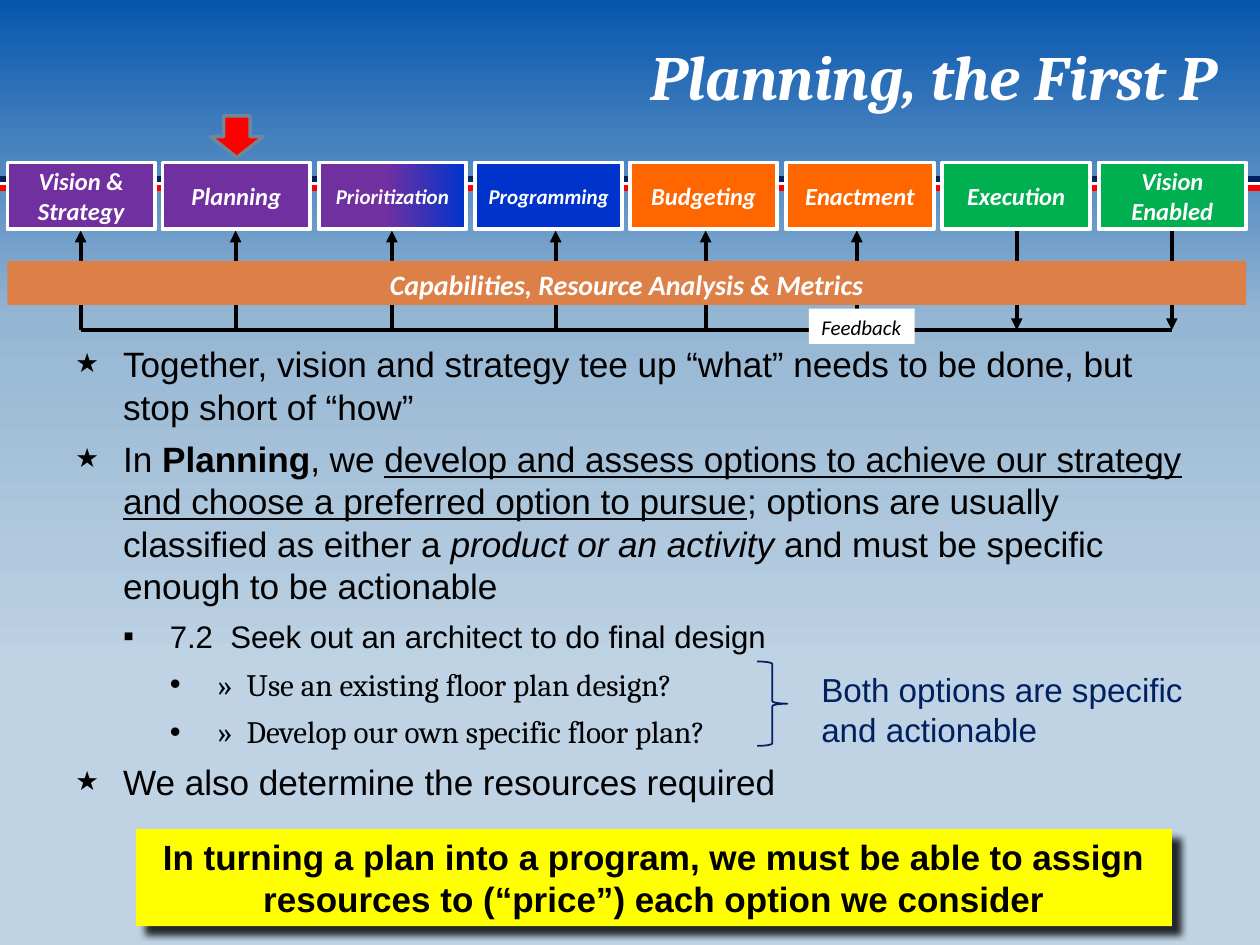
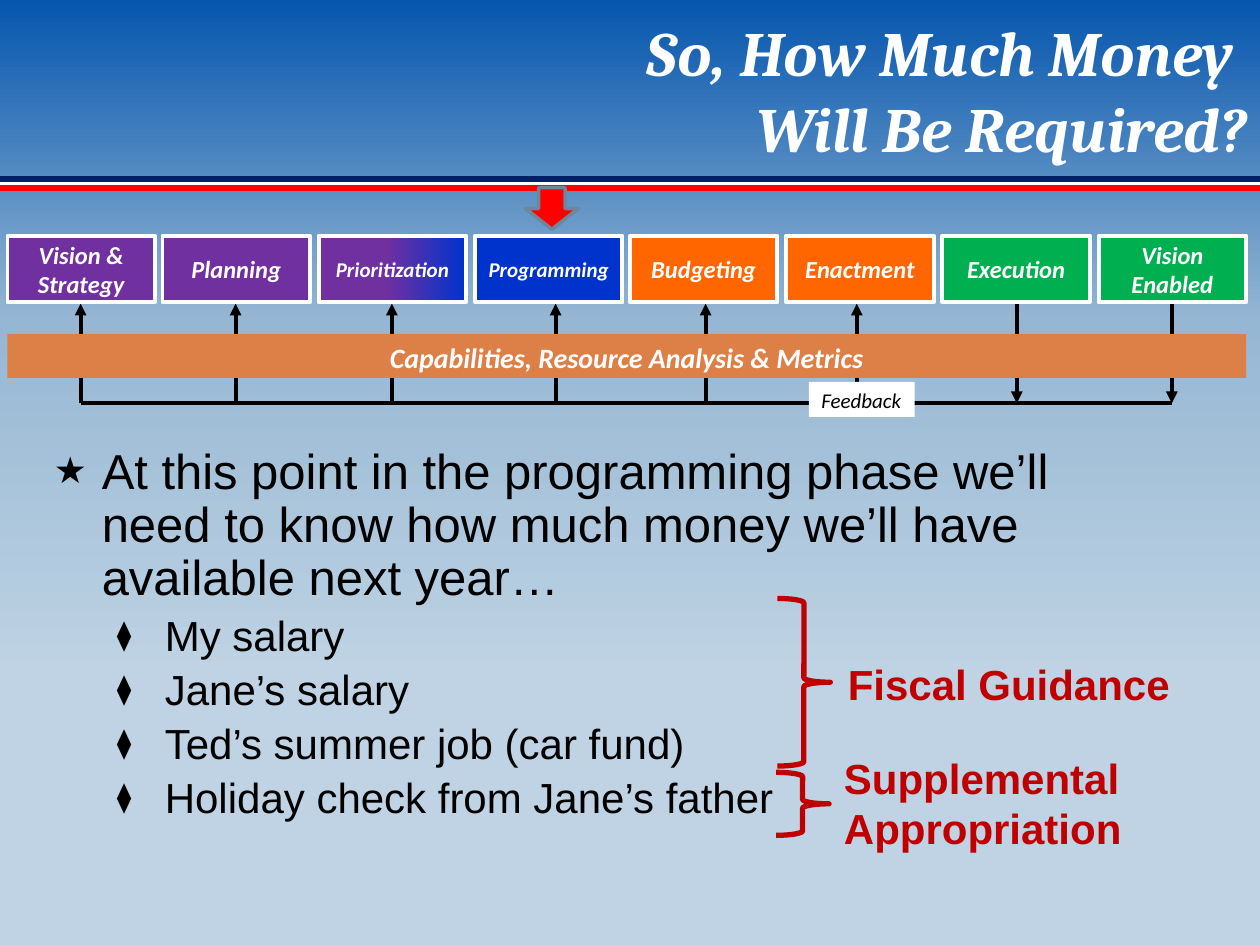
from lxml import etree
from pptx import Presentation
from pptx.dml.color import RGBColor
from pptx.enum.shapes import MSO_CONNECTOR, MSO_SHAPE
from pptx.enum.text import MSO_ANCHOR, PP_ALIGN
from pptx.oxml.ns import qn
from pptx.util import Pt

PX = 9144
RECT, DOWN_ARROW, BRACE = MSO_SHAPE.RECTANGLE, MSO_SHAPE.DOWN_ARROW, MSO_SHAPE.RIGHT_BRACE
STRAIGHT = MSO_CONNECTOR.STRAIGHT
LEFT, CENTER, RIGHT = PP_ALIGN.LEFT, PP_ALIGN.CENTER, PP_ALIGN.RIGHT
TOP, MIDDLE = MSO_ANCHOR.TOP, MSO_ANCHOR.MIDDLE

BLACK, WHITE, NAVY, RED = "000000", "FFFFFF", "002060", "FF0000"
PURPLE, BLUE, ORANGE, GREEN = "7030A0", "0033CC", "FF6600", "00B050"
TAN, YELLOW, CRIMSON, STEEL = "DD8047", "FFFF00", "C00000", "6D879B"
GRADIENT = "gradient"

BACKGROUND_STOPS = [(0, "0656AE"), (34, "96B7D3"), (72, "BFD3E4"), (100, "BFD3E4")]
BLEND_STOPS = [(0, PURPLE), (46, PURPLE), (99, BLUE), (100, BLUE)]
STRIPES = [(142, NAVY, 3.5), (146, WHITE, 2.5), (149, RED, 3.5)]
STAGES = [
    ("Vision &\nStrategy", PURPLE, 14),
    ("Planning", PURPLE, 14),
    ("Prioritization", GRADIENT, 12),
    ("Programming", BLUE, 12),
    ("Budgeting", ORANGE, 14),
    ("Enactment", ORANGE, 14),
    ("Execution", GREEN, 14),
    ("Vision Enabled", GREEN, 14),
]
UP_ARROWS = [64, 187, 311, 441, 560, 680]
DOWN_ARROWS = [807, 930]
NO_WRAP = ["Feedback", "Fiscal Guidance"]

TITLE = dict(size=36, font="Cambria", color=WHITE, bold=True, italic=True, align=RIGHT)
LABEL = dict(font="Calibri", color=WHITE, bold=True, italic=True, align=CENTER)
FEEDBACK = dict(size=12, font="Calibri", italic=True)
OPTIONS = dict(size=19, color=NAVY)
FUNDING = dict(size=24, color=CRIMSON, bold=True)
CALLOUT = dict(size=20, bold=True, align=CENTER)

POINT = dict(size=20.1, bullet=("★", 75, 38, 38), after=6)
STEP = dict(size=17.8, bullet=("▪", 100, 75, 37), after=6)
CHOICE = dict(size=17.8, font="Cambria", bullet=("•", 100, 113, 38), after=6)
QUESTION = dict(size=28, bullet=("★", 75, 38, 38), spacing=0.9)
INCOME = dict(size=24, bullet=("⧫", 70, 88, 38), spacing=0.9, before=5)

PLANNING_RUNS = [
    ("In ", {}),
    ("Planning", dict(bold=True)),
    (", we ", {}),
    ("develop and assess options to achieve our strategy and choose a preferred option to pursue",
     dict(underline=True)),
    ("; options are usually classified as either a ", {}),
    ("product or an activity ", dict(italic=True)),
    ("and must be specific enough to be actionable", {}),
]

SLIDES = [
    dict(
        title="Planning, the First P",
        title_at=(75, 25, 900, 125),
        body_at=(50, 267, 900, 392),
        body=[
            ("Together, vision and strategy tee up “what” needs to be done, but stop short of “how”", POINT),
            (PLANNING_RUNS, POINT),
            ("7.2  Seek out an architect to do final design", STEP),
            ("»  Use an existing floor plan design?", CHOICE),
            ("»  Develop our own specific floor plan?", CHOICE),
            ("We also determine the resources required", POINT),
        ],
        flow_top=129,
        marker=(167, 92),
        braces=[((601, 525, 24, 67), NAVY, 1)],
        notes=[("Both options are specific and actionable", (642, 526, 338, 74), OPTIONS)],
        callout="In turning a plan into a program, we must be able to assign "
                "resources to (“price”) each option we consider",
    ),
    dict(
        title="So, How Much Money \nWill Be Required?",
        title_at=(75, 6, 925, 125),
        body_at=(33, 350, 900, 372),
        body=[
            ("At this point in the programming phase we’ll need to know how much money "
             "we’ll have available next year…", QUESTION),
            ("My salary", INCOME),
            ("Jane’s salary", INCOME),
            ("Ted’s summer job (car fund)", INCOME),
            ("Holiday check from Jane’s father", INCOME),
        ],
        flow_top=187,
        marker=(417, 149),
        braces=[((617, 475, 42, 133), CRIMSON, 3), ((616, 613, 42, 50), CRIMSON, 3)],
        notes=[
            ("Fiscal Guidance", (663, 518, 278, 50), FUNDING),
            ("Supplemental Appropriation", (660, 592, 257, 91), FUNDING),
        ],
        callout=None,
    ),
]


def rgb(value):
    return RGBColor.from_string(value)


def write(tf, text, size, font="Arial", color=BLACK, bold=False, italic=False, align=LEFT,
          bullet=None, spacing=None, before=0, after=0):
    paragraphs = [[(line, {}) for line in [part]] for part in text.split("\n")] if isinstance(text, str) else [text]
    for runs in paragraphs:
        p = tf.add_paragraph() if tf.paragraphs[0].runs else tf.paragraphs[0]
        p.alignment = align
        p.line_spacing = spacing
        p.space_before, p.space_after = Pt(before), Pt(after)
        if bullet:
            char, percent, indent, hanging = bullet
            pPr = p._p.get_or_add_pPr()
            pPr.set("marL", str(indent * PX))
            pPr.set("indent", str(-hanging * PX))
            etree.SubElement(pPr, qn("a:buSzPct"), val=str(percent * 1000))
            etree.SubElement(pPr, qn("a:buFont"), typeface="Arial")
            etree.SubElement(pPr, qn("a:buChar"), char=char)
        for content, style in runs:
            r = p.add_run()
            r.text = content
            r.font.size, r.font.name = Pt(size), font
            r.font.color.rgb = rgb(color)
            r.font.bold = style.get("bold", bold)
            r.font.italic = style.get("italic", italic)
            r.font.underline = style.get("underline", False)


prs = Presentation()
prs.slide_width, prs.slide_height = 1000 * PX, 750 * PX

for page in SLIDES:
    s = prs.slides.add_slide(prs.slide_layouts[6])
    s.background.fill.gradient()
    s.background.fill.gradient_angle = 270
    top = page["flow_top"]
    bus = top + 133

    lines = [(0, y, 1000, y, color, width, False) for y, color, width in STRIPES]
    lines += [(x, bus, x, top + 54, BLACK, 2.25, True) for x in UP_ARROWS]
    lines += [(x, top + 53, x, bus, BLACK, 2.25, True) for x in DOWN_ARROWS]
    lines.append((UP_ARROWS[0], bus, DOWN_ARROWS[-1], bus, BLACK, 2.25, False))
    for x1, y1, x2, y2, color, width, arrow in lines:
        line = s.shapes.add_connector(STRAIGHT, x1 * PX, y1 * PX, x2 * PX, y2 * PX)
        line.line.color.rgb = rgb(color)
        line.line.width = Pt(width)
        if arrow:
            etree.SubElement(line.line._get_or_add_ln(), qn("a:tailEnd"), type="triangle")
        etree.SubElement(line._element.spPr, qn("a:effectLst"))

    shapes = [
        (RECT, (6 + i * 866 // 7, top, 117, 53), fill, WHITE, 2.25, name, dict(LABEL, size=size), MIDDLE)
        for i, (name, fill, size) in enumerate(STAGES)
    ]
    shapes += [
        (RECT, (6, top + 78, 983, 35), TAN, None, 0,
         "Capabilities, Resource Analysis & Metrics", dict(LABEL, size=16), TOP),
        (RECT, (642, top + 116, 84, 28), WHITE, None, 0, "Feedback", FEEDBACK, TOP),
        (DOWN_ARROW, (*page["marker"], 42, 33), RED, STEEL, 2, None, None, TOP),
    ]
    shapes += [(BRACE, at, None, color, width, None, None, TOP) for at, color, width in page["braces"]]
    if page["callout"]:
        shapes.append((RECT, (108, 658, 822, 77), YELLOW, None, 0, page["callout"], CALLOUT, TOP))
    for kind, at, fill, outline, width, text, style, anchor in shapes:
        sp = s.shapes.add_shape(kind, *[n * PX for n in at])
        sp.shadow.inherit = False
        if fill == GRADIENT:
            sp.fill.gradient()
            sp.fill.gradient_angle = 0
        elif fill:
            sp.fill.solid()
            sp.fill.fore_color.rgb = rgb(fill)
        else:
            sp.fill.background()
        if outline:
            sp.line.color.rgb = rgb(outline)
            sp.line.width = Pt(width)
        else:
            sp.line.fill.background()
        if text:
            sp.text_frame.word_wrap = text not in NO_WRAP
            sp.text_frame.vertical_anchor = anchor
            write(sp.text_frame, text, **style)
        if style is CALLOUT:
            effects = sp._element.spPr.find(qn("a:effectLst"))
            shadow = etree.SubElement(effects, qn("a:outerShdw"), blurRad=str(Pt(4)), dist=str(Pt(7)),
                                      dir="2700000", algn="tl", rotWithShape="0")
            tint = etree.SubElement(shadow, qn("a:srgbClr"), val=BLACK)
            etree.SubElement(tint, qn("a:alpha"), val="82000")

    text_boxes = [
        (page["title_at"], [(page["title"], TITLE)]),
        (page["body_at"], page["body"]),
    ]
    text_boxes += [(at, [(text, style)]) for text, at, style in page["notes"]]
    for at, paragraphs in text_boxes:
        tf = s.shapes.add_textbox(*[n * PX for n in at]).text_frame
        tf.word_wrap = paragraphs[0][0] not in NO_WRAP
        for text, style in paragraphs:
            write(tf, text, **style)

    for stop_list, stops in zip(list(s.element.iter(qn("a:gsLst"))), [BACKGROUND_STOPS, BLEND_STOPS]):
        for old in list(stop_list):
            stop_list.remove(old)
        for position, color in stops:
            stop = etree.SubElement(stop_list, qn("a:gs"), pos=str(position * 1000))
            etree.SubElement(stop, qn("a:srgbClr"), val=color)

prs.save("out.pptx")
